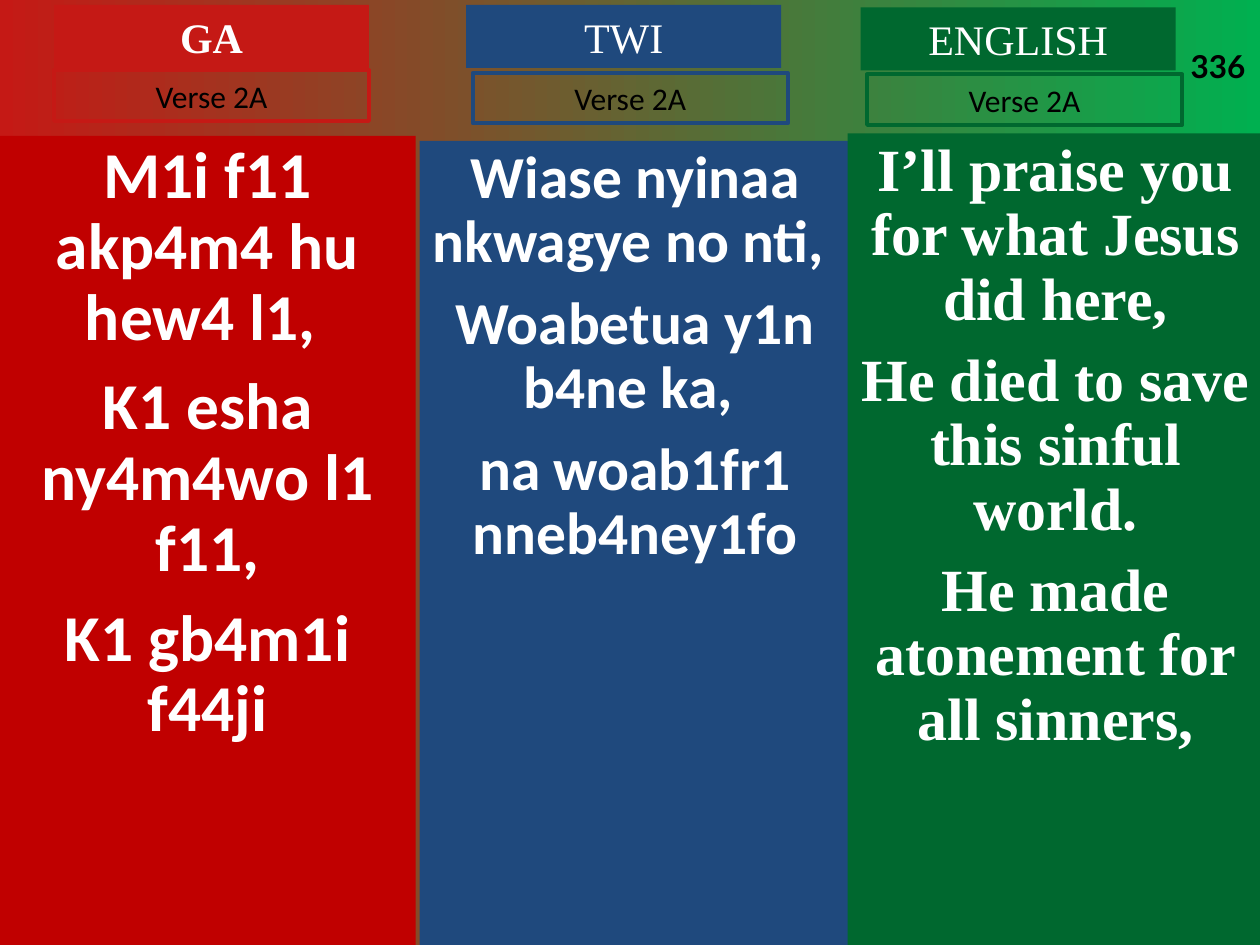
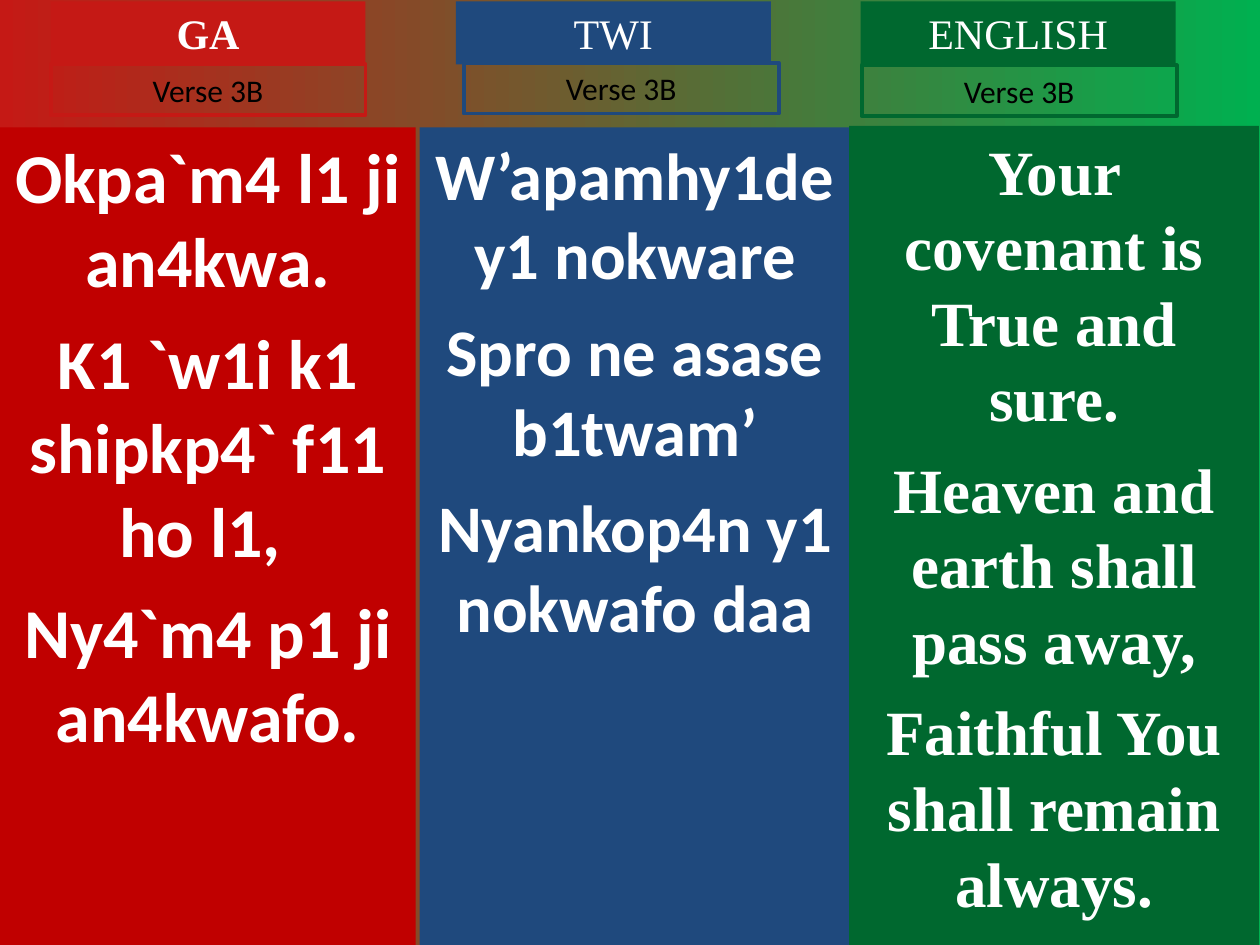
from dataclasses import dataclass
from typing import Optional

from pptx import Presentation
from pptx.dml.color import RGBColor
from pptx.enum.shapes import MSO_SHAPE as Shape
from pptx.enum.text import MSO_ANCHOR as Anchor, PP_ALIGN as Align
from pptx.util import Cm, Pt

SLIDE_W, SLIDE_H = 25.4, 19.05
LABEL_W, HEAD_H, VERSE_H = 6.35, 1.27, 1.02
RED, BRIGHT_RED, BLUE = "C00000", "C51915", "1F497D"
GREEN, BRIGHT_GREEN = "00682F", "00B050"
WHITE, BLACK = "FFFFFF", "000000"
SANS, SERIF, NUMBER_FONT = "Calibri", "Times New Roman", "Lato"


@dataclass(frozen=True)
class Language:
    name: str
    body_fill: str
    accent: str
    font: str
    bold_name: bool = False


@dataclass(frozen=True)
class Column:
    head: tuple[float, float]
    verse: tuple[float, float]
    body: tuple[float, float]
    width: float
    size: float
    gap: float
    lines: tuple[str, ...]


@dataclass(frozen=True)
class Verse:
    label: str
    line_spacing: float
    columns: tuple[Column, ...]
    number: Optional[str] = None


LANGUAGES = (
    Language("GA", RED, BRIGHT_RED, SANS, bold_name=True),
    Language("TWI", BLUE, BLUE, SANS),
    Language("ENGLISH", GREEN, GREEN, SERIF),
)

VERSES = (
    Verse("Verse 2A", 0.9, (
        Column((1.09, 0.1), (1.09, 1.42), (0, 2.74), 8.38, 37.4, 11, (
            "M1i f11 akp4m4 hu hew4 l1, ",
            "K1 esha ny4m4wo l1 f11,",
            "K1 gb4m1i f44ji",
        )),
        Column((9.4, 0.1), (9.53, 1.47), (8.46, 2.84), 8.69, 34, 10, (
            "Wiase nyinaa nkwagye no nti, ",
            "Woabetua y1n b4ne ka, ",
            "na woab1fr1 nneb4ney1fo",
        )),
        Column((17.35, 0.15), (17.48, 1.5), (17.09, 2.69), 8.38, 34.2, 9.2, (
            "I’ll praise you for what Jesus did here,",
            "He died to save this sinful world.",
            "He made atonement for all sinners,",
        )),
    ), number="336"),
    Verse("Verse 3B", 1.0, (
        Column((1.02, 0.03), (1.02, 1.3), (0, 2.57), 8.38, 40, 10, (
            "Okpa`m4 l1 ji an4kwa.",
            "K1 `w1i k1 shipkp4` f11 ho l1, ",
            "Ny4`m4 p1 ji an4kwafo.",
        )),
        Column((9.19, 0.03), (9.35, 1.27), (8.46, 2.57), 8.69, 38, 9.5, (
            "W’apamhy1de y1 nokware",
            "Spro ne asase b1twam’",
            "Nyankop4n y1 nokwafo daa",
        )),
        Column((17.35, 0.03), (17.37, 1.32), (17.12, 2.54), 8.26, 36, 9, (
            "Your covenant is True and sure.",
            "Heaven and earth shall pass away,",
            "Faithful You shall remain always.",
        )),
    )),
)


def rgb(value: str) -> RGBColor:
    return RGBColor.from_string(value)


def set_font(p, name: str, size: float, color: str, bold: bool = False) -> None:
    p.font.name = name
    p.font.size = Pt(size)
    p.font.bold = bold
    p.font.color.rgb = rgb(color)


def add_box(slide, at: tuple[float, float], width: float, height: float,
            fill: Optional[str] = None, line: Optional[str] = None):
    sp = slide.shapes.add_shape(
        Shape.RECTANGLE, Cm(at[0]), Cm(at[1]), Cm(width), Cm(height))
    sp.shadow.inherit = False
    if fill:
        sp.fill.solid()
        sp.fill.fore_color.rgb = rgb(fill)
    else:
        sp.fill.background()
    if line:
        sp.line.color.rgb = rgb(line)
        sp.line.width = Pt(2.25)
    else:
        sp.line.fill.background()
    tf = sp.text_frame
    tf.word_wrap = True
    tf.vertical_anchor = Anchor.TOP
    return tf


def add_label(tf, text: str, font: str, size: float, color: str,
              bold: bool = False) -> None:
    p = tf.paragraphs[0]
    p.text = text
    p.alignment = Align.CENTER
    set_font(p, font, size, color, bold)


def add_column(slide, verse: Verse, language: Language, column: Column) -> None:
    tf = add_box(slide, column.body, column.width, SLIDE_H - column.body[1],
                 fill=language.body_fill)
    for i, text in enumerate(column.lines):
        p = tf.add_paragraph() if i else tf.paragraphs[0]
        p.text = text
        p.alignment = Align.CENTER
        p.line_spacing = verse.line_spacing
        p.space_before = Pt(column.gap if i else 0)
        set_font(p, language.font, column.size, WHITE, bold=True)

    head = add_box(slide, column.head, LABEL_W, HEAD_H, fill=language.accent)
    add_label(head, language.name, SERIF, 24, WHITE, language.bold_name)
    label = add_box(slide, column.verse, LABEL_W, VERSE_H, line=language.accent)
    add_label(label, verse.label, SANS, 18, BLACK)


def add_number(slide, number: str) -> None:
    tf = slide.shapes.add_textbox(
        Cm(23.75), Cm(0.05), Cm(1.65), Cm(1.78)).text_frame
    tf.word_wrap = True
    tf.margin_right = 0
    tf.vertical_anchor = Anchor.BOTTOM
    p = tf.paragraphs[0]
    p.text = number
    set_font(p, NUMBER_FONT, 18, BLACK, bold=True)


def set_background(slide) -> None:
    fill = slide.background.fill
    fill.gradient()
    fill.gradient_angle = 0
    for i, (stop, color) in enumerate(
            zip(fill.gradient_stops, (BRIGHT_RED, BRIGHT_GREEN))):
        stop.position = i
        stop.color.rgb = rgb(color)


def add_verse(prs, verse: Verse) -> None:
    slide = prs.slides.add_slide(prs.slide_layouts.get_by_name("Blank"))
    set_background(slide)
    for language, column in zip(LANGUAGES, verse.columns):
        add_column(slide, verse, language, column)
    if verse.number:
        add_number(slide, verse.number)


def main() -> None:
    prs = Presentation()
    prs.slide_width, prs.slide_height = Cm(SLIDE_W), Cm(SLIDE_H)
    for verse in VERSES:
        add_verse(prs, verse)
    prs.save("out.pptx")


if __name__ == "__main__":
    main()
